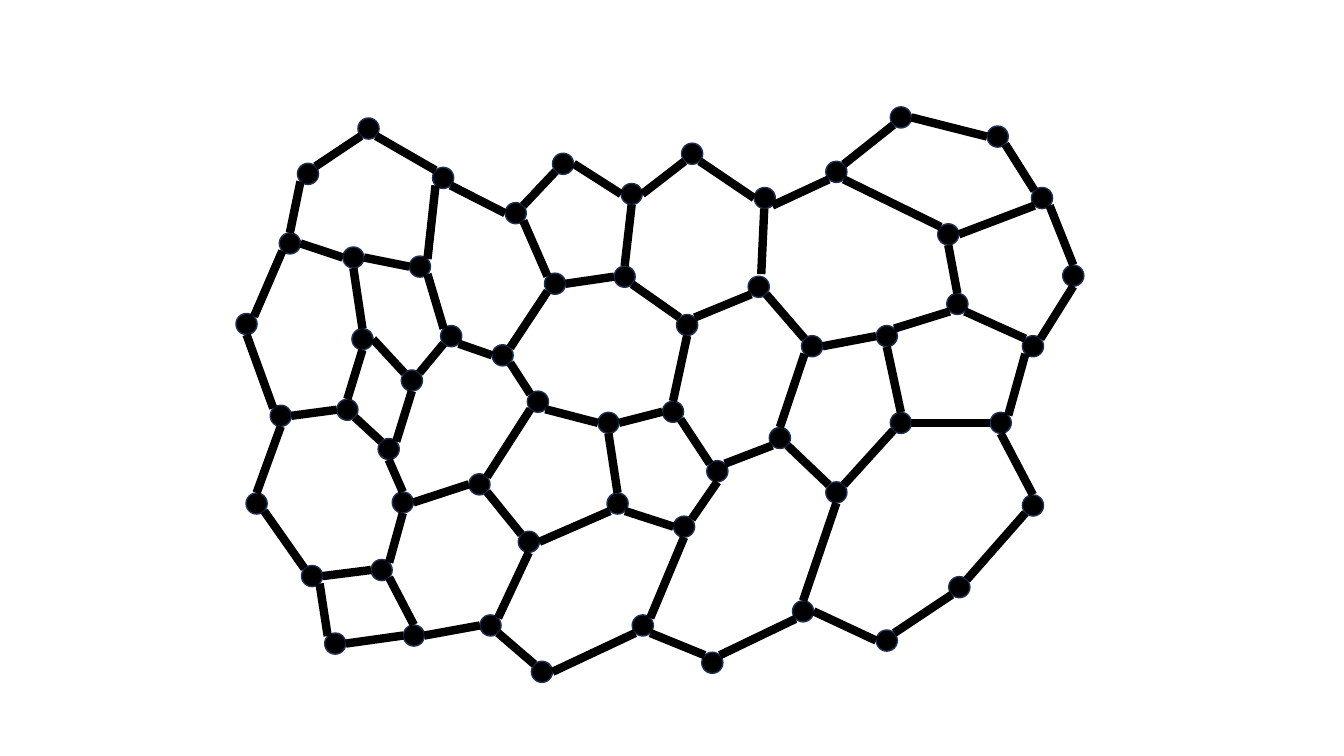
from lxml.etree import SubElement
from pptx import Presentation
from pptx.dml.color import RGBColor
from pptx.enum.shapes import MSO_CONNECTOR, MSO_SHAPE
from pptx.oxml.ns import qn
from pptx.util import Inches, Pt

BLACK = RGBColor(0x00, 0x00, 0x00)
NAVY = RGBColor(0x1E, 0x32, 0x56)

DIAMETER = 0.21
MIDDLE = DIAMETER / 2
NEAR = 0.03
FAR = DIAMETER - NEAR
SITES = {
    "N": (MIDDLE, 0), "NE": (FAR, NEAR), "E": (DIAMETER, MIDDLE),
    "SE": (FAR, FAR), "S": (MIDDLE, DIAMETER), "SW": (NEAR, FAR),
    "W": (0, MIDDLE), "NW": (NEAR, NEAR),
}

NODES = [
    (2.95, 1.62), (3.55, 1.17), (4.29, 1.66), (5.01, 2.01), (5.48, 1.52),
    (6.16, 1.82), (6.76, 1.42), (7.48, 1.86), (8.19, 1.6), (8.83, 1.06),
    (9.79, 1.25), (10.23, 1.86), (9.3, 2.22), (10.54, 2.63), (10.14, 3.33),
    (9.39, 2.91), (6.71, 3.12), (7.42, 2.74), (6.09, 2.64), (7.95, 3.33),
    (8.69, 3.23), (5.4, 2.71), (4.88, 3.42), (4.06, 2.54), (3.4, 2.45),
    (4.37, 3.23), (2.77, 2.31), (2.34, 3.11), (3.49, 3.26), (10.14, 4.91),
    (5.23, 3.88), (5.93, 4.09), (6.57, 3.98), (9.82, 4.09), (7.63, 4.24),
    (8.19, 4.78), (8.83, 4.09), (9.41, 5.72), (8.69, 6.25), (2.68, 4.02),
    (7.86, 5.96), (7.01, 4.57), (6.68, 5.12), (6.96, 6.47), (6.27, 6.1),
    (6.02, 4.89), (3.98, 3.67), (3.34, 3.96), (3.22, 6.28), (2.99, 5.61),
    (2.44, 4.89), (3.75, 4.35), (4.65, 4.7), (3.89, 4.88), (3.68, 5.55),
    (4, 6.2), (5.14, 5.27), (4.76, 6.1), (5.27, 6.56),
]

EDGES = [
    (0, "NE", 1, "SW"), (1, "SE", 2, "NW"), (2, "SE", 3, "W"),
    (3, "NE", 4, "SW"), (5, "W", 4, "E"), (6, "SW", 5, "E"),
    (7, "W", 6, "SE"), (8, "SW", 7, "SE"), (8, "NE", 9, "SW"),
    (10, "W", 9, "E"), (10, "SE", 11, "NW"), (12, "E", 11, "SW"),
    (8, "SE", 12, "NW"), (15, "N", 12, "S"), (13, "N", 11, "SE"),
    (14, "NE", 13, "S"), (33, "NE", 14, "SW"), (14, "NW", 15, "SE"),
    (15, "SW", 20, "NE"), (20, "W", 19, "E"), (17, "SW", 16, "NE"),
    (5, "S", 18, "N"), (21, "E", 18, "W"), (3, "SE", 21, "NW"),
    (22, "NE", 21, "SW"), (23, "NE", 2, "SW"), (23, "W", 24, "E"),
    (26, "N", 0, "SW"), (26, "SW", 27, "NE"), (26, "E", 24, "W"),
    (28, "N", 24, "S"), (28, "S", 47, "N"), (27, "S", 39, "NW"),
    (50, "N", 39, "S"), (47, "W", 39, "E"), (54, "W", 49, "E"),
    (55, "W", 48, "E"), (49, "NW", 50, "SE"), (49, "SE", 48, "NW"),
    (53, "S", 54, "NE"), (52, "W", 53, "E"), (52, "SE", 56, "NW"),
    (54, "SE", 55, "N"), (56, "S", 57, "NE"), (57, "W", 55, "E"),
    (45, "SW", 56, "E"), (45, "SE", 42, "W"), (44, "NE", 42, "S"),
    (57, "SE", 58, "NW"), (44, "SW", 58, "E"), (41, "NW", 32, "SE"),
    (32, "W", 31, "E"), (45, "N", 31, "S"), (31, "W", 30, "SE"),
    (30, "SW", 52, "NE"), (22, "SE", 30, "NW"), (25, "SE", 22, "W"),
    (46, "NE", 25, "SW"), (25, "NW", 23, "SE"), (46, "NW", 28, "E"),
    (46, "S", 51, "NE"), (47, "SE", 51, "NW"), (53, "N", 51, "S"),
    (18, "SE", 16, "NW"), (32, "N", 16, "S"), (17, "SE", 19, "NW"),
    (34, "N", 19, "SW"), (34, "SW", 41, "NE"), (41, "S", 42, "NE"),
    (35, "NW", 34, "SE"), (35, "S", 40, "N"), (38, "W", 40, "E"),
    (40, "SW", 43, "NE"), (44, "SE", 43, "NW"), (35, "NE", 36, "SW"),
    (37, "NE", 29, "SW"), (37, "SW", 38, "NE"), (33, "S", 29, "N"),
    (36, "E", 33, "W"), (20, "S", 36, "N"),
]
FREE_EDGE = ((7.55, 2.72), (7.58, 2.07))


class NetworkDiagram:
    node_color = BLACK
    outline_color = NAVY
    outline_width = Pt(1)
    edge_color = BLACK
    edge_width = Pt(6)

    def __init__(self, slide):
        self.slide = slide
        self.group = slide.shapes.add_group_shape()

    def node(self, left, top):
        shape = self.group.shapes.add_shape(
            MSO_SHAPE.OVAL, Inches(left), Inches(top),
            Inches(DIAMETER), Inches(DIAMETER))
        shape.shadow.inherit = False
        shape.fill.solid()
        shape.fill.fore_color.rgb = self.node_color
        shape.line.color.rgb = self.outline_color
        shape.line.width = self.outline_width

    def edge(self, start, end):
        connector = self.group.shapes.add_connector(
            MSO_CONNECTOR.STRAIGHT,
            *(Inches(length) for length in (*start, *end)))
        connector.line.color.rgb = self.edge_color
        connector.line.width = self.edge_width
        SubElement(connector._element.spPr, qn("a:effectLst"))


def site_point(node, site):
    left, top = NODES[node]
    across, down = SITES[site]
    return left + across, top + down


def main():
    presentation = Presentation()
    presentation.slide_width = Inches(13.33)
    presentation.slide_height = Inches(7.5)
    slide = presentation.slides.add_slide(presentation.slide_layouts[6])
    diagram = NetworkDiagram(slide)
    for left, top in NODES:
        diagram.node(left, top)
    for first, first_site, second, second_site in EDGES:
        diagram.edge(site_point(first, first_site),
                     site_point(second, second_site))
    diagram.edge(*FREE_EDGE)
    presentation.save("out.pptx")


if __name__ == "__main__":
    main()
